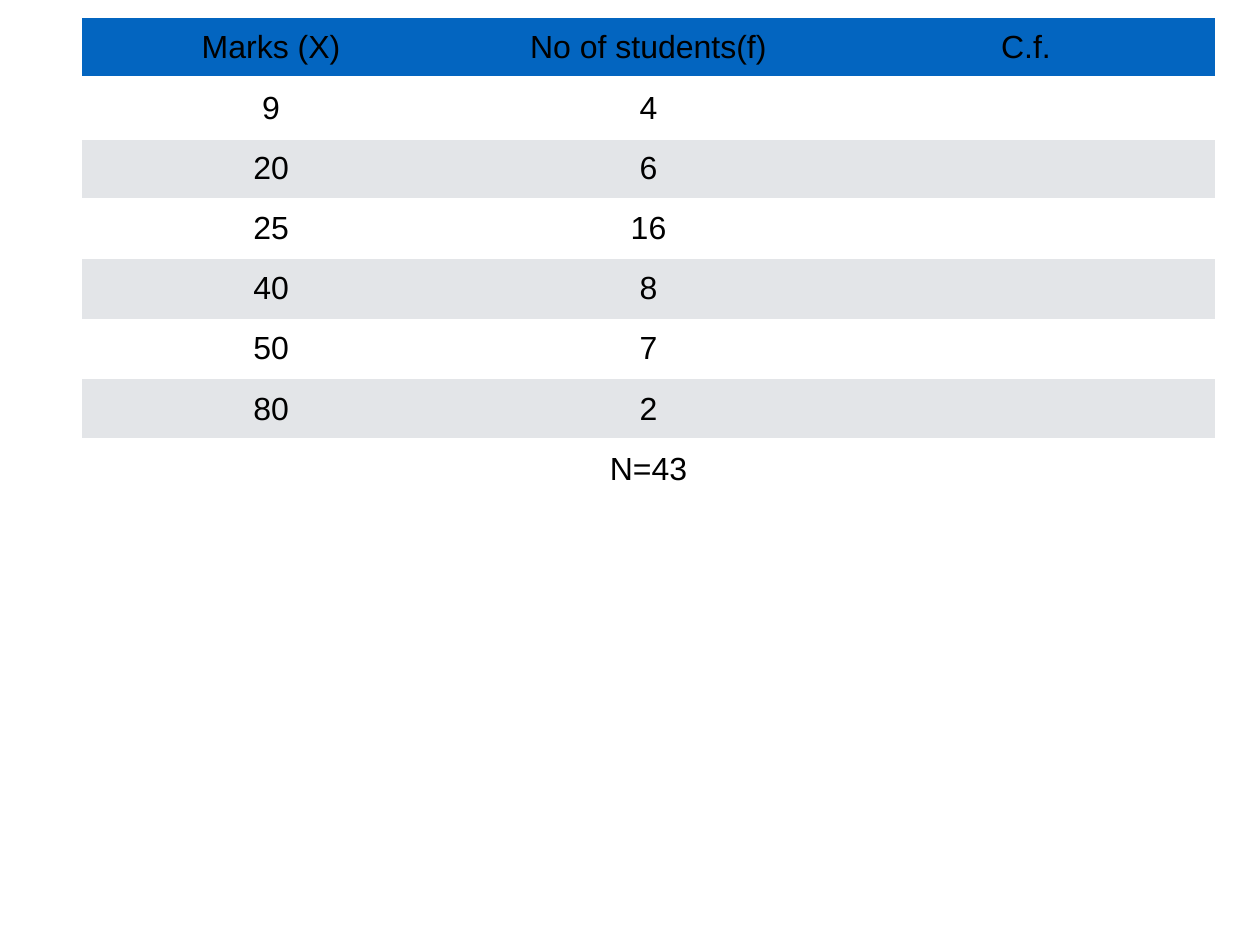
from dataclasses import dataclass

from lxml import etree
from pptx import Presentation
from pptx import util as u
from pptx.dml.color import RGBColor
from pptx.enum import text
from pptx.oxml.ns import qn


@dataclass(frozen=True)
class Theme:
    font: str = "Arial"
    size: int = 26
    ink: str = "000000"
    header: str = "0365C0"
    plain: str = "FFFFFF"
    band: str = "E3E5E8"
    rule: str = "FFFFFF"
    rule_width: int = 3
    inset: float = 0.05
    table_style: str = "{2D5ABB26-0587-4C30-8999-92F81FD0307C}"  # no style, no grid


class SlideBuilder:
    def __init__(self, slide, theme):
        self.s = slide
        self.theme = theme

    def background(self):
        fill = self.s.background.fill
        fill.solid()
        fill.fore_color.rgb = RGBColor.from_string(self.theme.plain)

    def table(self, rows, left, top, col_width, row_height):
        n_rows, n_cols = len(rows), len(rows[0])
        frame = self.s.shapes.add_table(
            n_rows, n_cols, u.Inches(left), u.Inches(top),
            u.Inches(col_width * n_cols), u.Inches(row_height * n_rows))
        table = frame.table
        table.horz_banding = False
        frame._element.find(".//" + qn("a:tableStyleId")).text = self.theme.table_style
        for column in table.columns:
            column.width = u.Inches(col_width)
        for i, values in enumerate(rows):
            table.rows[i].height = u.Inches(row_height)
            if i == 0:
                color = self.theme.header
            else:
                color = self.theme.plain if i % 2 else self.theme.band
            for j, value in enumerate(values):
                cell = table.cell(i, j)
                self.cell(cell, value, color)
                # White rules under the header and above the total
                if i in (0, n_rows - 2):
                    self.border(cell, "a:lnB")
                elif i in (1, n_rows - 1):
                    self.border(cell, "a:lnT")

    def cell(self, cell, value, color):
        cell.fill.solid()
        cell.fill.fore_color.rgb = RGBColor.from_string(color)
        cell.vertical_anchor = text.MSO_ANCHOR.MIDDLE
        inset = u.Inches(self.theme.inset)
        cell.margin_left = cell.margin_right = inset
        cell.margin_top = cell.margin_bottom = inset
        cell.text_frame.text = value
        p = cell.text_frame.paragraphs[0]
        p.alignment = text.PP_ALIGN.CENTER
        for r in p.runs:
            r.font.name = self.theme.font
            r.font.size = u.Pt(self.theme.size)
            r.font.color.rgb = RGBColor.from_string(self.theme.ink)

    def border(self, cell, side):
        line = etree.Element(qn(side), w=str(u.Pt(self.theme.rule_width)))
        fill = etree.SubElement(line, qn("a:solidFill"))
        etree.SubElement(fill, qn("a:srgbClr"), val=self.theme.rule)
        cell._tc.get_or_add_tcPr().insert(0, line)


def main():
    prs = Presentation()
    prs.slide_width, prs.slide_height = u.Inches(14.22), u.Inches(10.67)
    blank = prs.slide_layouts[6]
    builder = SlideBuilder(prs.slides.add_slide(blank), Theme())
    builder.background()

    # Frequency table
    frequencies = [("9", "4"), ("20", "6"), ("25", "16"),
                   ("40", "8"), ("50", "7"), ("80", "2")]
    rows = [("Marks (X)", "No of students(f)", "C.f.")]
    rows += [(marks, students, "") for marks, students in frequencies]
    rows.append(("", "N=43", ""))
    builder.table(rows, left=0.93, top=0.2, col_width=4.26, row_height=0.68)

    prs.save("out.pptx")


if __name__ == "__main__":
    main()
